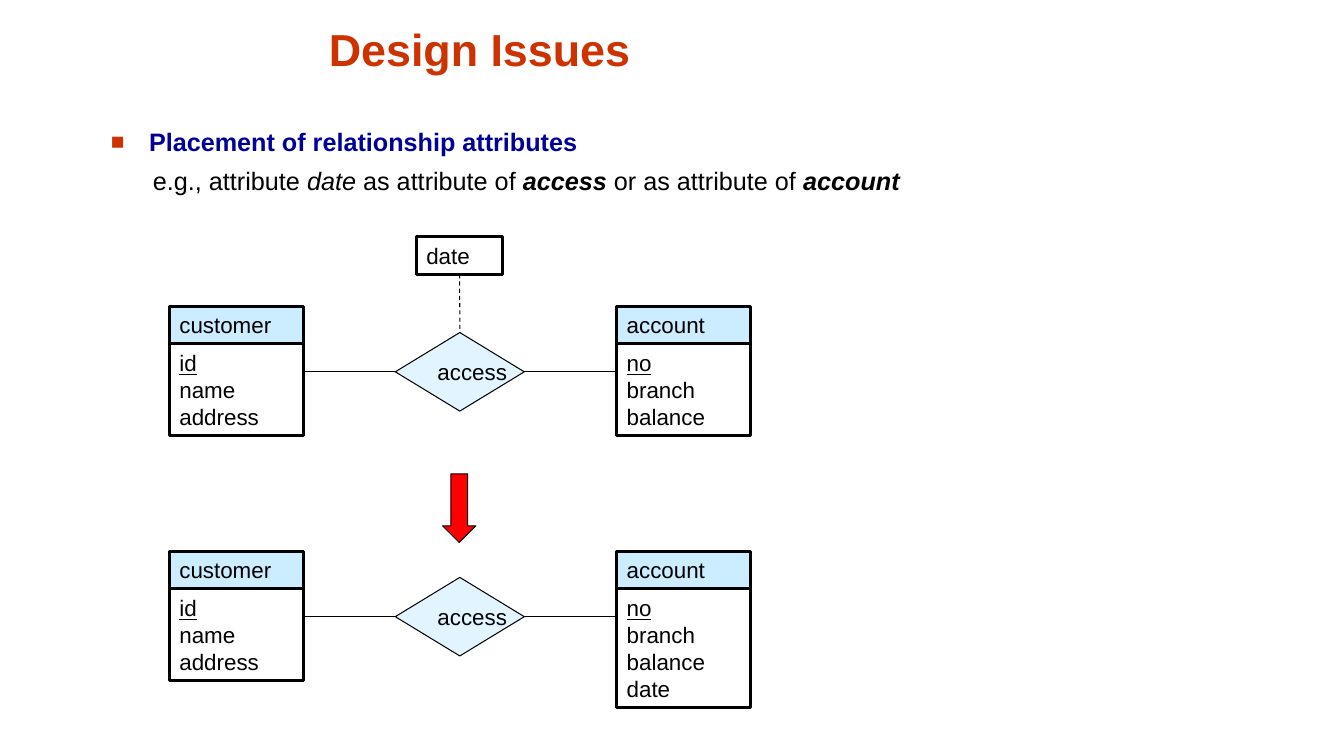
import pptx
import pptx.dml.color
import pptx.enum.dml
import pptx.enum.shapes
import pptx.enum.text
import pptx.oxml
import pptx.util
from lxml import etree

Cm, Pt = pptx.util.Cm, pptx.util.Pt
RGB = pptx.dml.color.RGBColor.from_string
SHAPE = pptx.enum.shapes.MSO_SHAPE
ANCHOR = pptx.enum.text.MSO_ANCHOR
ALIGN = pptx.enum.text.PP_ALIGN
COLORS = {"title": "CC3300", "topic": "000099", "ink": "000000",
          "header": "CCECFF", "diamond": "E2F4FF", "arrow": "FF0000"}


def write(p, text, size=16, color="ink", bold=False, italic=False, underline=False):
    """Add a formatted run to paragraph p."""
    r = p.add_run()
    r.text = text
    font = r.font
    font.name, font.size = "Arial", Pt(size)
    font.bold, font.italic, font.underline = bold, italic, underline
    font.color.rgb = RGB(COLORS[color])


def add_box(kind, left, top, width, height, lines=(), fill=None, weight=2, key=False):
    """Add an outlined shape with one paragraph per line; key underlines the first."""
    sp = s.shapes.add_shape(kind, Cm(left), Cm(top), Cm(width), Cm(height))
    sp.shadow.inherit = False
    if fill:
        sp.fill.solid()
        sp.fill.fore_color.rgb = RGB(COLORS[fill])
    else:
        sp.fill.background()
    sp.line.color.rgb = RGB(COLORS["ink"])
    sp.line.width = Pt(weight)
    tf = sp.text_frame
    tf.vertical_anchor = ANCHOR.MIDDLE
    tf.word_wrap = kind != SHAPE.DIAMOND
    for i, text in enumerate(lines):
        p = tf.add_paragraph() if i else tf.paragraphs[0]
        p.alignment = ALIGN.LEFT
        write(p, text, underline=key and i == 0)
    return sp


prs = pptx.Presentation()
prs.slide_width, prs.slide_height = Cm(33.86), Cm(19.05)
s = prs.slides.add_slide(prs.slide_layouts[1])

# Title
title = s.shapes.title
title.left, title.top, title.width, title.height = Cm(2.84), Cm(0.33), Cm(18.49), Cm(1.7)
title.text_frame.vertical_anchor = ANCHOR.BOTTOM
title.text_frame.auto_size = pptx.enum.text.MSO_AUTO_SIZE.NONE
p = title.text_frame.paragraphs[0]
p.alignment = ALIGN.CENTER
write(p, "Design Issues", size=32, color="title", bold=True)

# Topic and example
body = s.placeholders[1]
body.left, body.top, body.width, body.height = Cm(2.54), Cm(3.05), Cm(22.81), Cm(2.62)
tf = body.text_frame
tf.auto_size = pptx.enum.text.MSO_AUTO_SIZE.NONE
topic, example = tf.paragraphs[0], tf.add_paragraph()
write(topic, "Placement of relationship attributes", size=18, color="topic", bold=True)
for text, bold, italic in [
    ("e.g., attribute ", False, False),
    ("date ", False, True),
    ("as attribute of ", False, False),
    ("access", True, True),
    (" or as attribute of ", False, False),
    ("account", True, True),
]:
    write(example, text, size=18, bold=bold, italic=italic)

ns = 'xmlns:a="http://schemas.openxmlformats.org/drawingml/2006/main"'
square = [f'<a:buClr {ns}><a:srgbClr val="{COLORS["title"]}"/></a:buClr>',
          f'<a:buSzPct {ns} val="90000"/>',
          f'<a:buFont {ns} typeface="Arial"/>',
          f'<a:buChar {ns} char="■"/>']
for p, margin, indent, bullet in [(topic, 0.96, -0.96, square),
                                  (example, 1.06, 0, [f"<a:buNone {ns}/>"])]:
    p.space_before = Pt(6.3)
    pPr = p._p.get_or_add_pPr()
    pPr.set("marL", str(Cm(margin)))
    pPr.set("indent", str(Cm(indent)))
    for xml in bullet:
        pPr.append(pptx.oxml.parse_xml(xml))

# Two versions of the diagram
customer_fields = ["id", "name", "address"]
account_fields = ["no", "branch", "balance"]
ENTITY_W, HEADER_H = 3.38, 0.94
CUSTOMER_X, ACCOUNT_X = 4.27, 15.54
links = []
diamonds = []
for top, fields in [(7.72, account_fields), (13.89, account_fields + ["date"])]:
    for left, name, rows in [(CUSTOMER_X, "customer", customer_fields),
                             (ACCOUNT_X, "account", fields)]:
        add_box(SHAPE.RECTANGLE, left, top, ENTITY_W, HEADER_H, [name], fill="header")
        add_box(SHAPE.RECTANGLE, left, top + HEADER_H, ENTITY_W,
                0.25 + 0.69 * len(rows), rows, key=True)
    diamond = add_box(SHAPE.DIAMOND, 9.96, top + 0.66, 3.25, 1.98, ["access"],
                      fill="diamond", weight=0.75)
    diamonds.append(diamond)
    for x, site in [(CUSTOMER_X + ENTITY_W, 1), (ACCOUNT_X, 3)]:
        y = Cm(top + 1.65)
        line = s.shapes.add_connector(pptx.enum.shapes.MSO_CONNECTOR.STRAIGHT,
                                      Cm(x), y, Cm(x), y)
        line.end_connect(diamond, site)
        links.append(line)

# Attribute of the relationship
date = add_box(SHAPE.RECTANGLE, 10.49, 5.97, 2.18, HEADER_H, ["date"])
dashed = s.shapes.add_connector(pptx.enum.shapes.MSO_CONNECTOR.STRAIGHT, 0, 0, 0, 0)
dashed.begin_connect(date, 2)
dashed.end_connect(diamonds[0], 0)
dashed.line.dash_style = pptx.enum.dml.MSO_LINE.DASH
for line in links + [dashed]:
    line.line.color.rgb = RGB(COLORS["ink"])
    line.line.width = Pt(0.75)
    etree.SubElement(line._element.spPr, pptx.oxml.ns.qn("a:effectLst"))

# Step from the first version to the second
add_box(SHAPE.DOWN_ARROW, 11.15, 11.94, 0.84, 1.73, fill="arrow", weight=0.75)

prs.save("out.pptx")
